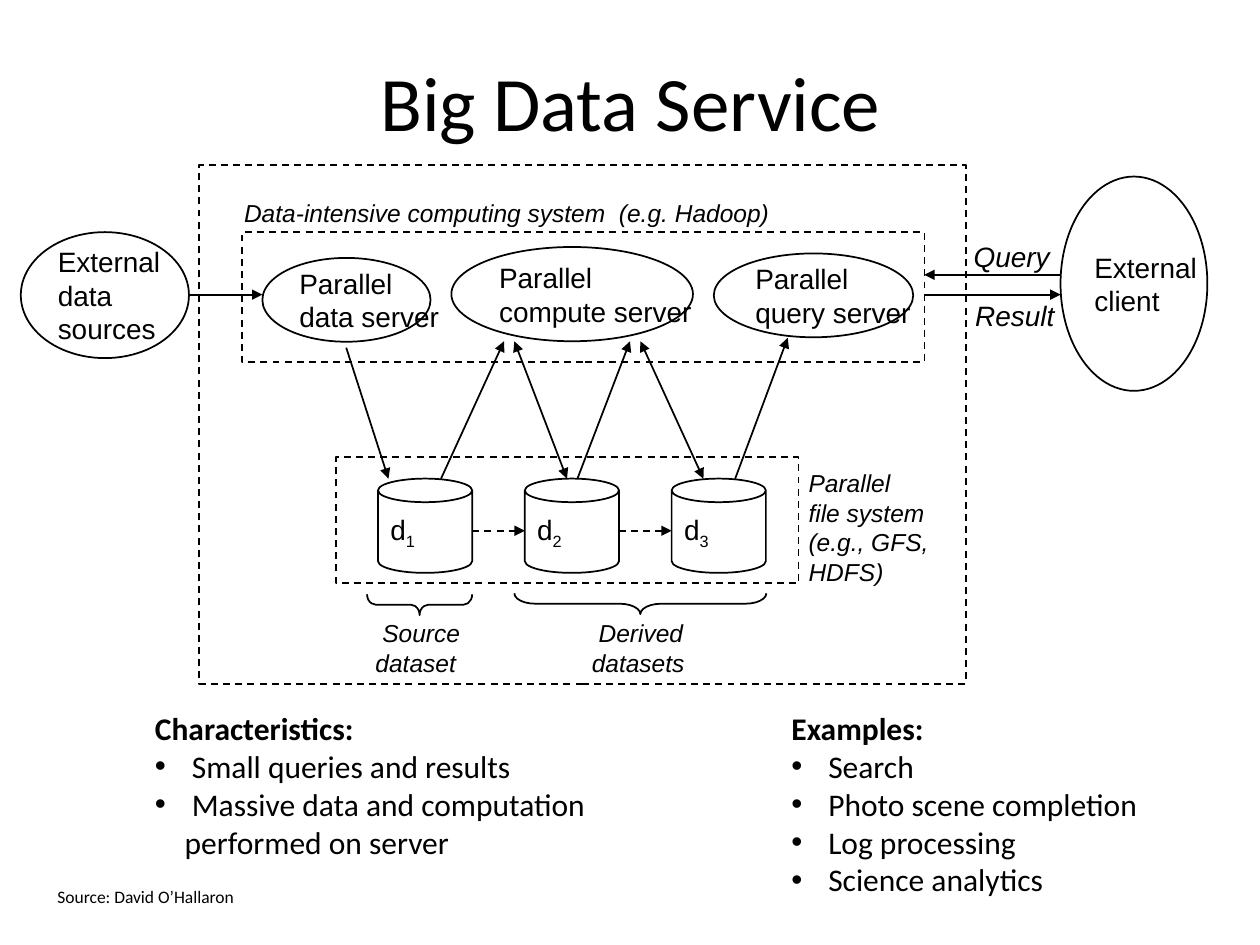
"""Build the Big Data Service architecture slide."""
import pptx
import pptx.dml.color
import pptx.enum.dml
import pptx.enum.shapes
import pptx.enum.text
import pptx.oxml.ns
import pptx.util
from lxml import etree

Cm = pptx.util.Cm
Pt = pptx.util.Pt
qn = pptx.oxml.ns.qn
SHAPE = pptx.enum.shapes.MSO_SHAPE
ANCHOR = pptx.enum.text.MSO_ANCHOR
AUTO = pptx.enum.text.MSO_AUTO_SIZE
ALIGN = pptx.enum.text.PP_ALIGN
DASH = pptx.enum.dml.MSO_LINE.DASH
BLACK = pptx.dml.color.RGBColor(0, 0, 0)


class Diagram:
    def __init__(self, s):
        self.s = s
        self.label_font = "Arial"
        self.text_font = "Calibri"
        self.color = BLACK
        self.line_width = Pt(1)

    def run(self, p, text, size, font, bold=None, italic=None):
        r = p.add_run()
        r.text = text
        f = r.font
        f.name, f.size, f.bold, f.italic = font, Pt(size), bold, italic
        f.color.rgb = self.color
        return r

    def stroke(self, line, dashed):
        line.color.rgb = self.color
        line.width = self.line_width
        if dashed:
            line.dash_style = DASH

    def place(self, sp, box):
        sp.left, sp.top, sp.width, sp.height = (Cm(v) for v in box)

    def shape(self, kind, box, lines=(), dashed=False):
        sp = self.s.shapes.add_shape(kind, *(Cm(v) for v in box))
        sp.shadow.inherit = False
        sp.fill.background()
        self.stroke(sp.line, dashed)
        tf = sp.text_frame
        tf.word_wrap = False
        tf.vertical_anchor = ANCHOR.MIDDLE
        for i, text in enumerate(lines):
            p = tf.add_paragraph() if i else tf.paragraphs[0]
            p.alignment = ALIGN.LEFT
            self.run(p, text, 16, self.label_font)
        return sp

    def dataset(self, box, number):
        sp = self.shape(SHAPE.CAN, box, ["d"])
        r = self.run(sp.text_frame.paragraphs[0], str(number), 16, self.label_font)
        r._r.get_or_add_rPr().set("baseline", "-25000")

    def brace(self, box, curve):
        sp = self.shape(SHAPE.LEFT_BRACE, box)
        sp.rotation = 270
        sp.adjustments[0] = curve

    def arrow(self, ends, both=False, dashed=False):
        cn = self.s.shapes.add_connector(
            pptx.enum.shapes.MSO_CONNECTOR.STRAIGHT, *(Cm(v) for v in ends))
        self.stroke(cn.line, dashed)
        ln = cn.line._get_or_add_ln()
        for tag in ("a:headEnd", "a:tailEnd") if both else ("a:tailEnd",):
            etree.SubElement(ln, qn(tag), type="triangle")
        etree.SubElement(cn._element.spPr, qn("a:effectLst"))

    def label(self, box, paragraphs, size=14, font=None, italic=True, wrap=False):
        tf = self.s.shapes.add_textbox(*(Cm(v) for v in box)).text_frame
        tf.word_wrap = wrap
        tf.auto_size = AUTO.SHAPE_TO_FIT_TEXT
        for i, text in enumerate(paragraphs):
            p = tf.add_paragraph() if i else tf.paragraphs[0]
            for j, part in enumerate(text.split("\n")):
                if j:
                    p.add_line_break()
                self.run(p, part, size, font or self.label_font, italic=italic)

    def title(self, box, text):
        sp = self.s.shapes.title
        self.place(sp, box)
        sp.text_frame.vertical_anchor = ANCHOR.MIDDLE
        p = sp.text_frame.paragraphs[0]
        p.alignment = ALIGN.CENTER
        self.run(p, text, 44, self.text_font)

    def bullets(self, sp, box, heading, items):
        self.place(sp, box)
        tf = sp.text_frame
        tf.word_wrap = True
        tf.auto_size = AUTO.NONE
        tf.vertical_anchor = ANCHOR.TOP
        for i, text in enumerate([heading, *items]):
            p = tf.add_paragraph() if i else tf.paragraphs[0]
            pPr = p._p.get_or_add_pPr()
            indent = Cm(0.6) if i else 0
            pPr.set("marL", str(indent))
            pPr.set("indent", str(-indent))
            if i:
                etree.SubElement(pPr, qn("a:buFont"), typeface="Arial")
                etree.SubElement(pPr, qn("a:buChar"), char="•")
            else:
                etree.SubElement(pPr, qn("a:buNone"))
            p.space_before = Pt(0)
            self.run(p, text, 18, self.text_font, bold=not i)


def main():
    prs = pptx.Presentation()
    prs.slide_width, prs.slide_height = Cm(25.4), Cm(19.05)
    s = prs.slides.add_slide(prs.slide_layouts[3])
    d = Diagram(s)
    d.title((1.27, 0.79, 22.89, 2.46), "Big Data Service")

    for box in ((4.02, 3.33, 15.45, 10.46), (4.88, 4.68, 13.76, 2.62),
                (6.78, 9.22, 9.32, 2.54)):
        d.shape(SHAPE.RECTANGLE, box, dashed=True)

    for box, lines in (
        ((0.42, 4.68, 3.39, 2.54), ["External", "data", "sources"]),
        ((5.29, 5.2, 3.39, 1.69), ["Parallel", "data server"]),
        ((9.1, 4.98, 4.87, 1.9), ["Parallel", "compute server"]),
        ((14.39, 5.11, 4.02, 1.69), ["Parallel", "query server"]),
        ((21.38, 3.56, 2.96, 4.32), ["External", "client"]),
    ):
        d.shape(SHAPE.OVAL, box, lines)

    first, pitch, size, top = 7.62, 2.96, 1.9, 9.65
    for i in range(3):
        x = first + i * pitch
        d.dataset((x, top, size, size), i + 1)
        if i:
            d.arrow((x - pitch + size, 10.7, x, 10.7), dashed=True)

    for ends in ((6.98, 7.01, 7.83, top), (8.89, top, 10.16, 6.88),
                 (11.64, top, 12.7, 6.88), (14.82, top, 15.88, 6.81),
                 (21.38, 5.54, 18.63, 5.54), (18.63, 5.94, 21.38, 5.94),
                 (3.81, 5.94, 5.29, 5.94)):
        d.arrow(ends)
    for ends in ((10.37, 6.88, 11.43, top), (12.91, 6.88, 14.18, top)):
        d.arrow(ends, both=True)

    d.brace((8.25, 11.13, 0.42, 2.12), 0.42)
    d.brace((12.7, 9.63, 0.42, 5.08), 1)

    d.label((4.67, 3.86, 11.91, 0.86),
            ["Data-intensive computing system  (e.g. Hadoop)"], wrap=True)
    d.label((16.05, 9.32, 3.2, 2.64),
            ["Parallel", "file system", "(e.g., GFS,", "HDFS)"])
    d.label((7.32, 12.34, 2.4, 1.45), [" Source\ndataset"])
    d.label((11.68, 12.34, 2.6, 1.45), [" Derived\ndatasets"])
    d.label((19.38, 4.7, 2.3, 0.94), ["Query"], 16)
    d.label((19.41, 5.89, 2.3, 0.94), ["Result"], 16)
    d.label((0.91, 17.73, 4.2, 0.69), ["Source: David O’Hallaron"], 10,
            d.text_font, italic=False)

    d.bullets(s.placeholders[1], (2.87, 14.17, 11.1, 3.3), "Characteristics:",
              [" Small queries and results",
               " Massive data and computation performed on server"])
    d.bullets(s.placeholders[2], (15.7, 14.17, 8.89, 4.06), "Examples:",
              [" Search", " Photo scene completion", " Log processing",
               " Science analytics"])
    prs.save("out.pptx")


if __name__ == "__main__":
    main()
